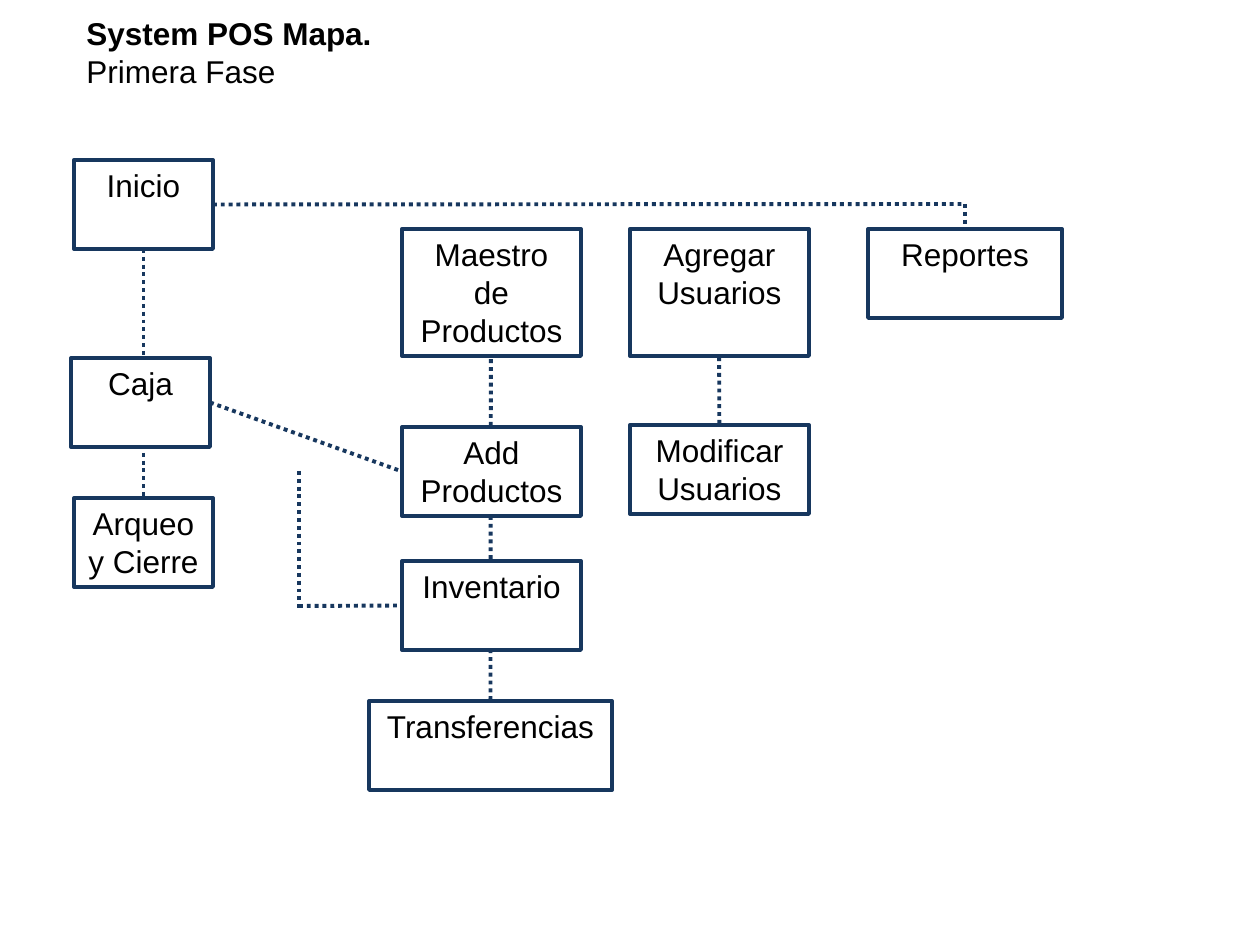
from pptx import Presentation
from pptx import util as u
from pptx.dml.color import RGBColor
from pptx.enum import dml, shapes, text
from pptx.oxml.ns import qn
from lxml import etree

PX = 914400 / 126
COLORS = {"border": "17375E", "fill": "FFFFFF", "text": "000000"}
FONT, FONT_SIZE, LINE_WIDTH = "Arial", u.Pt(18), u.Pt(2.25)
TOP, LEFT, BOTTOM, RIGHT = range(4)

TITLE = [("System POS Mapa.", True), ("Primera Fase", False)]
TITLE_AREA = (74, 8, 476, 89)
BOXES = {
    "Inicio": (74, 160, 139, 89),
    "Caja": (71, 358, 139, 89),
    "Arqueo y Cierre": (74, 498, 139, 89),
    "Maestro de Productos": (402, 229, 179, 127),
    "Add Productos": (402, 427, 179, 89),
    "Inventario": (402, 561, 179, 89),
    "Transferencias": (369, 701, 243, 89),
    "Agregar Usuarios": (630, 229, 179, 127),
    "Modificar Usuarios": (630, 425, 179, 89),
    "Reportes": (868, 229, 194, 89),
}
LINES_BEHIND = [
    ((965, 204), ("Reportes", BOTTOM)),
    ((491, 273), ("Transferencias", TOP)),
    ((719, 271), ("Modificar Usuarios", BOTTOM)),
    (("Inicio", BOTTOM), ("Arqueo y Cierre", TOP)),
]
LINES_IN_FRONT = [
    (("Inicio", RIGHT), (965, 204)),
    (("Caja", RIGHT), ("Add Productos", LEFT)),
    ((299, 471), (299, 610)),
    ((299, 606), ("Inventario", LEFT)),
]


def px(*values):
    return [u.Emu(round(value * PX)) for value in values]


def color(name):
    return RGBColor.from_string(COLORS[name])


def is_joined(end):
    return isinstance(end[0], str)


def point(end):
    if not is_joined(end):
        return end
    name, side = end
    x, y, width, height = BOXES[name]
    return [(x + width / 2, y), (x, y + height / 2),
            (x + width / 2, y + height), (x + width, y + height / 2)][side]


def add_text(paragraph, content, bold=False):
    run = paragraph.add_run()
    run.text = content
    run.font.name, run.font.size, run.font.bold = FONT, FONT_SIZE, bold
    run.font.color.rgb = color("text")


def style_line(line):
    line.color.rgb = color("border")
    line.width = LINE_WIDTH


def add_line(slide, start, end):
    connector = slide.shapes.add_connector(
        shapes.MSO_CONNECTOR.STRAIGHT, *px(*point(start), *point(end)))
    style_line(connector.line)
    connector.line.dash_style = dml.MSO_LINE.ROUND_DOT
    properties = connector._element.spPr
    etree.SubElement(properties, qn("a:effectLst"))
    return connector


def add_box(slide, name, area):
    shape = slide.shapes.add_shape(shapes.MSO_SHAPE.RECTANGLE, *px(*area))
    shape.shadow.inherit = False
    shape.fill.solid()
    shape.fill.fore_color.rgb = color("fill")
    style_line(shape.line)
    frame = shape.text_frame
    frame.word_wrap = True
    frame.vertical_anchor = text.MSO_ANCHOR.TOP
    paragraph = frame.paragraphs[0]
    paragraph.alignment = text.PP_ALIGN.CENTER
    add_text(paragraph, name)
    return shape


def add_title(slide):
    frame = slide.shapes.add_textbox(*px(*TITLE_AREA)).text_frame
    frame.word_wrap = True
    for index, (content, bold) in enumerate(TITLE):
        paragraph = frame.add_paragraph() if index else frame.paragraphs[0]
        add_text(paragraph, content, bold)


def main():
    presentation = Presentation()
    presentation.slide_width, presentation.slide_height = px(1260, 945)
    slide = presentation.slides.add_slide(presentation.slide_layouts[6])

    connectors = [add_line(slide, *ends) for ends in LINES_BEHIND]
    boxes = {name: add_box(slide, name, area) for name, area in BOXES.items()}
    connectors += [add_line(slide, *ends) for ends in LINES_IN_FRONT]
    for connector, (start, end) in zip(connectors, LINES_BEHIND + LINES_IN_FRONT):
        if is_joined(start):
            connector.begin_connect(boxes[start[0]], start[1])
        if is_joined(end):
            connector.end_connect(boxes[end[0]], end[1])

    add_title(slide)
    presentation.save("out.pptx")


if __name__ == "__main__":
    main()
